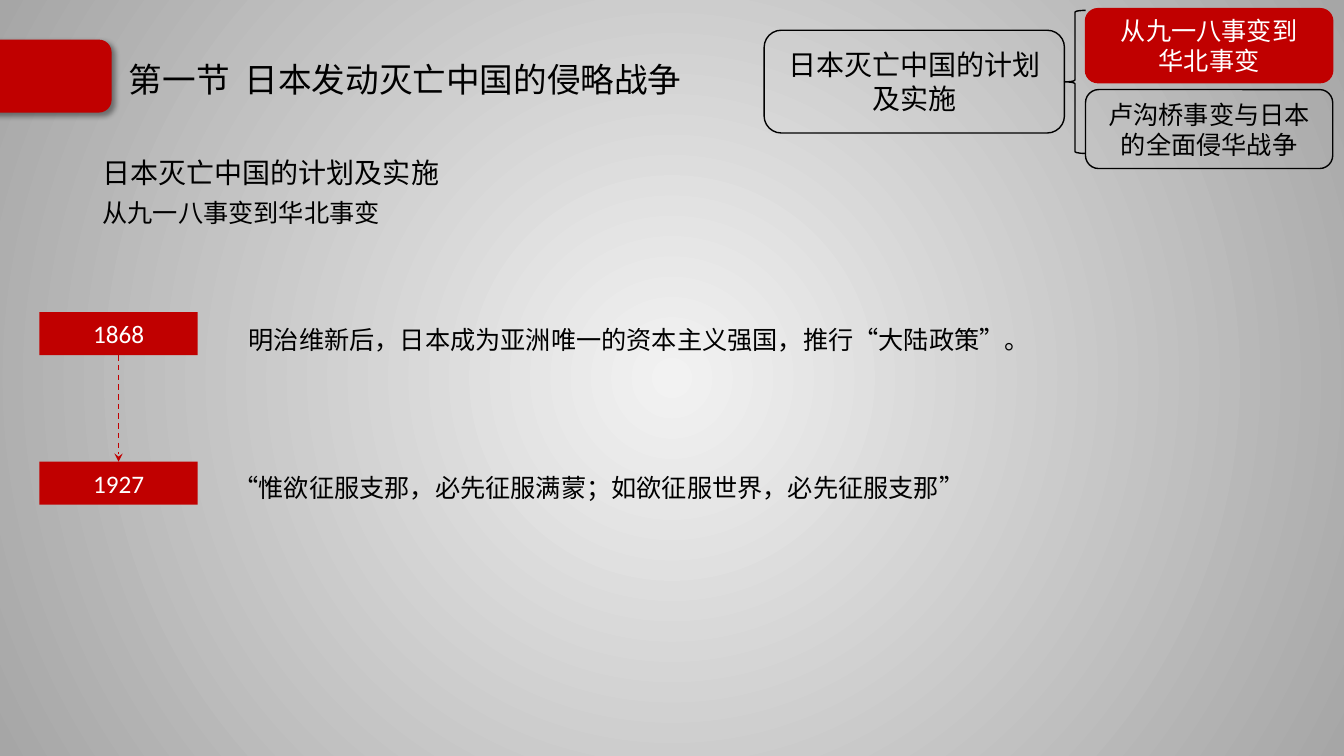
from lxml import etree
from pptx import Presentation
from pptx.dml.color import RGBColor
from pptx.enum import dml, lang, shapes, text
from pptx.oxml import ns
from pptx.util import Pt

COLORS = {"red": "C00000", "black": "000000", "white": "FFFFFF",
          "center": "F2F2F2", "edge": "A6A6A6"}
CJK = "Noto Sans CJK SC"
ROUND = shapes.MSO_SHAPE.ROUNDED_RECTANGLE
RECT = shapes.MSO_SHAPE.RECTANGLE

TITLE = ["第一节  日本发动灭亡中国的侵略战争"]
HEADINGS = ["日本灭亡中国的计划及实施", "从九一八事变到华北事变"]
EVENTS = [
    ("1868", "明治维新后，日本成为亚洲唯一的资本主义强国，推行“大陆政策”。",
     (170.6, 203.8, 699.8, 66.2)),
    ("1927", "“惟欲征服支那，必先征服满蒙；如欲征服世界，必先征服支那”",
     (159.8, 318.2, 745.9, 49)),
]
YEAR_LEFT, YEAR_TOP, YEAR_STEP, YEAR_SIZE = 28.2, 223, 106.8, (113, 30.7)
OUTLINE = [
    (["日本灭亡中国的计划及实施"], (545.8, 21.6, 214.5, 73.4), 20, None, "black"),
    (["从九一八事变到", "华北事变"], (775.4, 6.2, 176.6, 52.8), 18, "red", "white"),
    (["卢沟桥事变与日本的全面侵华战争"], (775.4, 64, 176.6, 56.4), 18, None, "black"),
]
BRACE = (760.3, 7.4, 15.1, 102.2)


def add_child(parent, tag, **attributes):
    return etree.SubElement(parent, ns.qn(tag), attributes)


def rgb(name):
    return RGBColor.from_string(COLORS[name])


def write(shape, lines, sizes, color, font=CJK, align=None, spacing=None):
    frame = shape.text_frame
    frame.word_wrap = True
    frame.vertical_anchor = text.MSO_ANCHOR.MIDDLE
    for index, (line, size) in enumerate(zip(lines, sizes)):
        paragraph = frame.add_paragraph() if index else frame.paragraphs[0]
        paragraph.alignment = align
        paragraph.line_spacing = spacing
        run = paragraph.add_run()
        run.text = line
        run.font.size = Pt(size)
        run.font.name = font
        run.font.color.rgb = rgb(color)
        run.font.language_id = lang.MSO_LANGUAGE_ID.SIMPLIFIED_CHINESE
        add_child(run.font._element, "a:ea", typeface=font)


def add_box(slide, kind, box, fill, line):
    shape = slide.shapes.add_shape(kind, *map(Pt, box))
    shape.shadow.inherit = False
    if fill:
        shape.fill.solid()
        shape.fill.fore_color.rgb = rgb(fill)
    else:
        shape.fill.background()
    if line:
        shape.line.color.rgb = rgb(line)
        shape.line.width = Pt(1)
    else:
        shape.line.fill.background()
    return shape


def add_text(slide, box, lines, sizes, spacing, font=CJK):
    label = slide.shapes.add_textbox(*map(Pt, box))
    write(label, lines, sizes, "black", font, spacing=spacing)
    return label


def paint_background(slide):
    fill = slide.background.fill
    fill.gradient()
    for stop, name, position in zip(fill.gradient_stops, ("center", "edge"), (0, 1)):
        stop.color.rgb = rgb(name)
        stop.position = position
    gradient = slide._element.find(".//" + ns.qn("a:gradFill"))
    gradient.remove(gradient.find(ns.qn("a:lin")))
    circle = add_child(gradient, "a:path", path="circle")
    add_child(circle, "a:fillToRect", **dict.fromkeys("ltrb", "50000"))


def add_header(slide):
    tab = add_box(slide, ROUND, (-13, 28.8, 92.2, 51.1), "red", "red")
    effects = tab._element.spPr.find(ns.qn("a:effectLst"))
    shadow = add_child(effects, "a:outerShdw", blurRad=str(Pt(4)), dist=str(Pt(3)),
                       dir="2700000", algn="tl", rotWithShape="0")
    shade = add_child(shadow, "a:srgbClr", val=COLORS["black"])
    add_child(shade, "a:alpha", val="40000")
    add_text(slide, (85, 36.7, 802.8, 42.5), TITLE, [24], 0.9, "Noto Sans CJK JP")
    headings = add_text(slide, (66.2, 100.1, 378.7, 95.8), HEADINGS, [20, 18], 1.3)
    headings.text_frame.vertical_anchor = text.MSO_ANCHOR.TOP


def add_timeline(slide):
    years = []
    for index, (year, event, box) in enumerate(EVENTS):
        place = (YEAR_LEFT, YEAR_TOP + index * YEAR_STEP, *YEAR_SIZE)
        year_box = add_box(slide, RECT, place, "red", None)
        write(year_box, [year], [18], "white", "Calibri", text.PP_ALIGN.CENTER)
        years.append(year_box)
        add_text(slide, box, [event], [18], 1.5)
    for earlier, later in zip(years, years[1:]):
        arrow = slide.shapes.add_connector(shapes.MSO_CONNECTOR.STRAIGHT, 0, 0, 0, 0)
        arrow.begin_connect(earlier, 2)
        arrow.end_connect(later, 0)
        arrow.line.color.rgb = rgb("red")
        arrow.line.width = Pt(1)
        arrow.line.dash_style = dml.MSO_LINE.DASH
        add_child(arrow.line._get_or_add_ln(), "a:tailEnd", type="stealth")
        add_child(arrow._element.spPr, "a:effectLst")


def add_outline(slide):
    add_box(slide, shapes.MSO_SHAPE.LEFT_BRACE, BRACE, None, "black")
    for lines, box, size, fill, color in OUTLINE:
        topic = add_box(slide, ROUND, box, fill, fill or "black")
        write(topic, lines, [size] * len(lines), color, align=text.PP_ALIGN.CENTER)


def main():
    deck = Presentation()
    deck.slide_width, deck.slide_height = Pt(960), Pt(540)
    slide = deck.slides.add_slide(deck.slide_layouts[6])
    paint_background(slide)
    add_header(slide)
    add_timeline(slide)
    add_outline(slide)
    deck.save("out.pptx")


if __name__ == "__main__":
    main()
